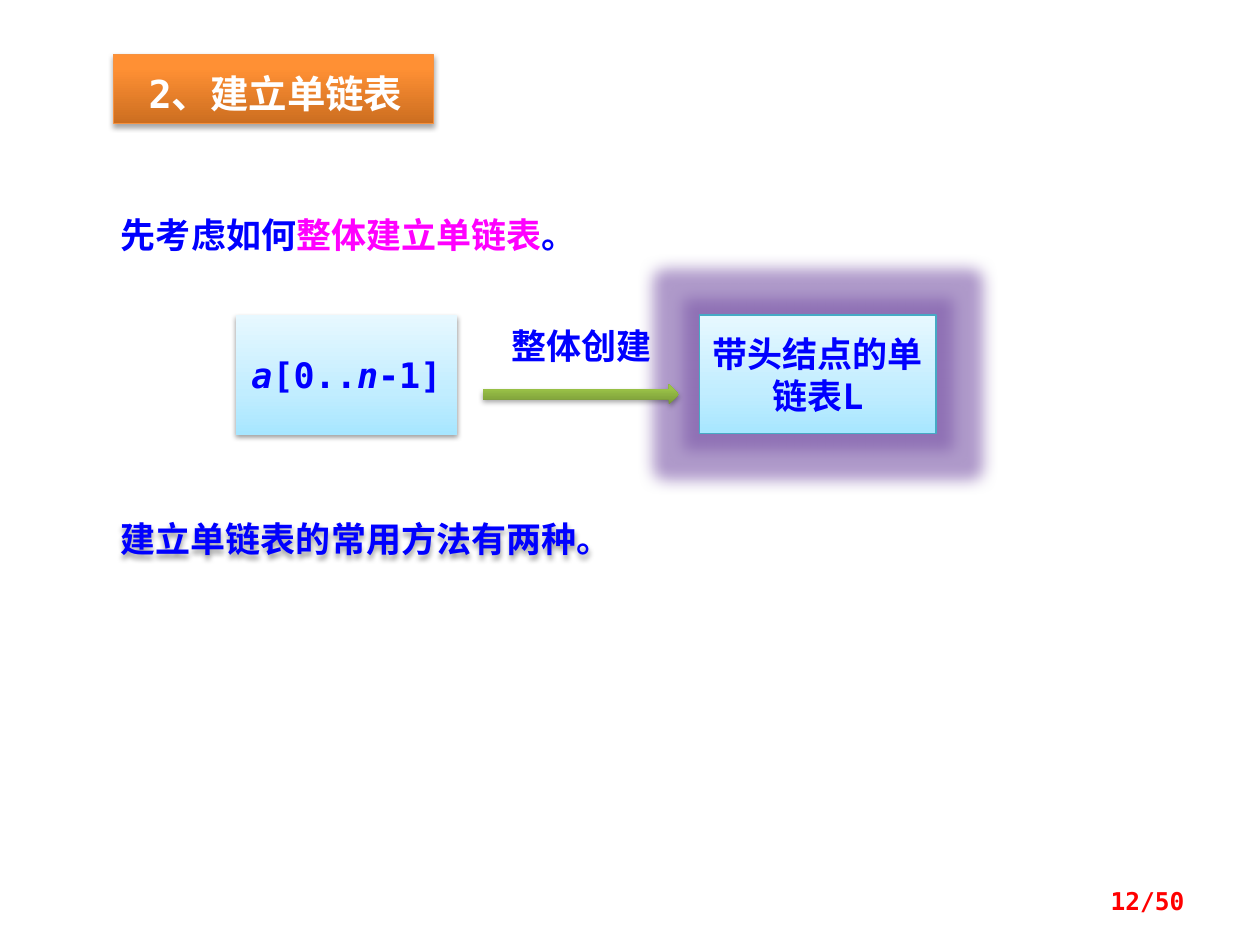
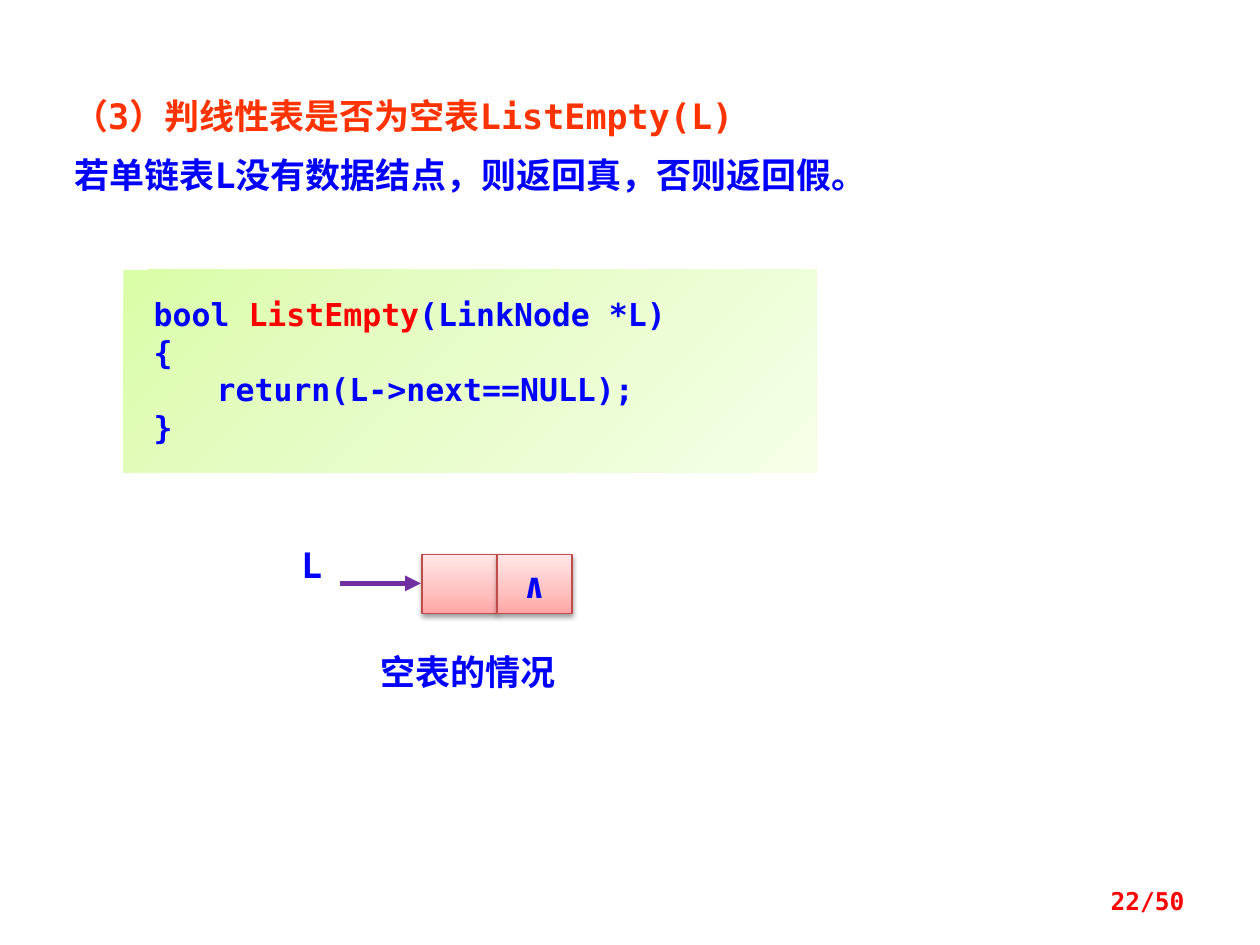
from dataclasses import dataclass

import pptx
import pptx.dml.color
import pptx.enum.shapes
import pptx.enum.text
import pptx.oxml
import pptx.oxml.ns
import pptx.util
from lxml import etree

ALIGN = pptx.enum.text.PP_ALIGN
ANCHOR = pptx.enum.text.MSO_ANCHOR
SHAPE = pptx.enum.shapes.MSO_SHAPE
qn = pptx.oxml.ns.qn


@dataclass(frozen=True)
class Theme:
    mono: str = "DejaVu Sans Mono"
    chinese: str = "Noto Sans CJK SC"
    heading: int = 22
    text: int = 20
    code: int = 18
    footer: int = 14
    blue: str = "0000FF"
    magenta: str = "FF00FF"
    red: str = "FF0000"
    vermilion: str = "FF3300"
    white: str = "FFFFFF"
    purple: str = "7030A0"
    glow: str = "7B57A8"
    sky_line: str = "46AAC5"
    rose_line: str = "BF4C48"
    orange_line: str = "F69240"
    orange: tuple = ((0, "CC6E20"), (80, "FF9034"), (100, "FF9136"))
    sky: tuple = ((0, "A7E6FF"), (35, "C1EDFF"), (100, "E7F8FF"))
    green: tuple = ((0, "779737"), (80, "9BC348"), (100, "9DC746"))
    lime: tuple = ((0, "DAFDA7"), (35, "E4FCC2"), (100, "F5FFE7"))
    rose: tuple = ((0, "FFA6A5"), (35, "FFC0BF"), (100, "FFE7E7"))


THEME = Theme()
COLUMNS, ROWS = 100, 75
CELL = pptx.util.Inches(0.1)


@dataclass(frozen=True)
class Box:
    column: float
    row: float
    columns: float
    rows: float

    def area(self, column, row, columns, rows):
        return Box(self.column + column, self.row + row, columns, rows)

    def lengths(self):
        return [round(n * CELL) for n in (self.column, self.row, self.columns, self.rows)]


PAGE = Box(0, 0, COLUMNS, ROWS)


def rgb(value):
    return pptx.dml.color.RGBColor.from_string(value)


def add_effect(shape, name, color, alpha, **attributes):
    shape.shadow.inherit = False
    effects = shape._element.spPr.find(qn("a:effectLst"))
    effect = etree.SubElement(effects, qn(f"a:{name}"))
    for key, value in attributes.items():
        effect.set(key, str(value))
    tone = etree.SubElement(effect, qn("a:srgbClr"), val=color)
    etree.SubElement(tone, qn("a:alpha"), val=str(alpha * 1000))


def add_shadow(shape, alpha=38):
    add_effect(shape, "outerShdw", "000000", alpha, blurRad=pptx.util.Pt(3.1),
               dist=pptx.util.Pt(1.7), dir=5400000, algn="ctr", rotWithShape=0)


def paint(shape, stops, line=None, angle=90):
    shape.shadow.inherit = False
    shape.fill.gradient()
    shape.fill.gradient_angle = angle
    stop_list = shape._element.spPr.find(".//" + qn("a:gsLst"))
    for stop in list(stop_list):
        stop_list.remove(stop)
    for position, color in stops:
        stop = etree.SubElement(stop_list, qn("a:gs"), pos=str(position * 1000))
        etree.SubElement(stop, qn("a:srgbClr"), val=color)
    if line:
        shape.line.color.rgb = rgb(line)
        shape.line.width = pptx.util.Pt(0.75)
    else:
        shape.line.fill.background()


def write(shape, paragraphs, size=THEME.text, color=THEME.blue, align=ALIGN.LEFT,
          anchor=ANCHOR.TOP, spacing=1.0, font=THEME.mono, insets=(1, 0.5, 1, 0.5)):
    frame = shape.text_frame
    frame.word_wrap = True
    frame.auto_size = pptx.enum.text.MSO_AUTO_SIZE.NONE
    frame.vertical_anchor = anchor
    (frame.margin_left, frame.margin_top, frame.margin_right,
     frame.margin_bottom) = [round(n * CELL) for n in insets]
    for index, spans in enumerate(paragraphs):
        para = frame.add_paragraph() if index else frame.paragraphs[0]
        properties = para._p.get_or_add_pPr()
        properties.set("marL", "0")
        properties.set("indent", "0")
        para.alignment = align
        para.line_spacing = spacing
        para.space_before = pptx.util.Pt(0)
        etree.SubElement(properties, qn("a:buNone"))
        para.font.name = font
        para.font.size = pptx.util.Pt(size)
        para.font.bold = True
        para.font.color.rgb = rgb(color)
        latin = properties.find(".//" + qn("a:latin"))
        latin.addnext(pptx.oxml.parse_xml(
            f'<a:ea {pptx.oxml.ns.nsdecls("a")} typeface="{THEME.chinese}"/>'))
        for text, style in spans:
            span = para.add_run()
            span.text = text
            if style == "italic":
                span.font.italic = True
            elif style:
                span.font.color.rgb = rgb(style)


def add_text(page, box, text, **options):
    shape = page.shapes.add_textbox(*box.lengths())
    write(shape, [[(text, None)]], **options)
    return shape


def add_block(page, box, stops, line=None, kind=SHAPE.RECTANGLE, angle=90):
    shape = page.shapes.add_shape(kind, *box.lengths())
    paint(shape, stops, line, angle)
    return shape


def fill_placeholder(page, index, box, spans, **options):
    shape = page.placeholders[index]
    shape.left, shape.top, shape.width, shape.height = box.lengths()
    write(shape, [spans], **options)
    return shape


def add_page(deck, number):
    page = deck.slides.add_slide(deck.slide_layouts[1])
    add_text(page, PAGE.area(71.7, 69.5, 23.3, 4), f"{number}/50", size=THEME.footer,
             color=THEME.red, align=ALIGN.RIGHT, anchor=ANCHOR.MIDDLE)
    return page


def draw_creation(page, box):
    array = add_block(page, box.area(0.7, 0, 17.6, 9.5), THEME.sky)
    add_shadow(array)
    write(array, [[("a", "italic"), ("[0..", None), ("n", "italic"), ("-1]", None)]],
          align=ALIGN.CENTER, anchor=ANCHOR.MIDDLE)
    linked_list = add_block(page, box.area(37.5, 0, 18.8, 9.4), THEME.sky, THEME.sky_line)
    add_effect(linked_list, "glow", THEME.glow, 60, rad=pptx.util.Pt(18))
    write(linked_list, [[("带头结点的单链表L", None)]],
          align=ALIGN.CENTER, anchor=ANCHOR.MIDDLE)
    arrow = add_block(page, box.area(20.3, 5.5, 15.6, 1.6), THEME.green,
                      kind=SHAPE.RIGHT_ARROW)
    add_shadow(arrow, 35)
    add_text(page, box.area(21.1, 0.3, 14.1, 4.4), "整体创建",
             font=THEME.chinese, align=ALIGN.CENTER, insets=(0, 0.5, 0, 0.5))


def draw_code(page, box):
    code = add_block(page, box, THEME.lime, angle=315)
    lines = [
        [("bool ", None), ("ListEmpty", THEME.red), ("(LinkNode *L)", None)],
        [("{", None)],
        [("　　return(L->next==NULL);", None)],
        [("}", None)],
    ]
    write(code, lines, size=THEME.code, insets=(2.4, 2, 1.6, 2))


def draw_empty_list(page, box):
    side = 5.95
    for index, symbol in enumerate(("", "∧")):
        cell = add_block(page, box.area(9.6 + index * side, 0.9, side, 4.7),
                         THEME.rose, THEME.rose_line)
        add_shadow(cell)
        if symbol:
            write(cell, [[(symbol, None)]], align=ALIGN.CENTER, anchor=ANCHOR.MIDDLE)
    left, top, width, _ = box.area(3.1, 3.2, 6.4, 0).lengths()
    pointer = page.shapes.add_connector(
        pptx.enum.shapes.MSO_CONNECTOR.STRAIGHT, left, top, left + width, top)
    pointer.line.color.rgb = rgb(THEME.purple)
    pointer.line.width = pptx.util.Pt(3)
    properties = pointer._element.spPr
    etree.SubElement(properties.find(qn("a:ln")), qn("a:tailEnd"), type="triangle")
    etree.SubElement(properties, qn("a:effectLst"))
    add_text(page, box.area(0, 0, 4.7, 3.4), "L", insets=(0, 0, 0, 0))
    add_text(page, box.area(1.9, 8, 22.7, 4.4), "空表的情况",
             font=THEME.chinese, align=ALIGN.CENTER)


def build_creation_page(deck):
    page = add_page(deck, 12)
    title = fill_placeholder(page, 0, PAGE.area(9, 4.3, 25.4, 5.5), [("2、建立单链表", None)],
                             size=THEME.heading, color=THEME.white, spacing=1.2,
                             insets=(2.8, 0.5, 1, 0.5))
    paint(title, THEME.orange, THEME.orange_line)
    add_shadow(title, 35)
    fill_placeholder(page, 1, PAGE.area(8.6, 14.8, 47.2, 5.5),
                     [("先考虑如何", None), ("整体建立单链表", THEME.magenta), ("。", None)],
                     spacing=1.5)
    draw_creation(page, PAGE.area(18, 25, 56.3, 9.4))
    methods = add_text(page, PAGE.area(8.6, 40.6, 50, 4.4), "建立单链表的常用方法有两种。")
    add_shadow(methods)


def build_empty_page(deck):
    page = add_page(deck, 22)
    fill_placeholder(page, 0, PAGE.area(4.8, 7, 87, 4.4),
                     [("（3）判线性表是否为空表ListEmpty(L)", None)], color=THEME.vermilion)
    fill_placeholder(page, 1, PAGE.area(4.9, 11.7, 87, 4.4),
                     [("若单链表L没有数据结点，则返回真，否则返回假。", None)])
    draw_code(page, PAGE.area(9.8, 21.4, 55, 16.1))
    draw_empty_list(page, PAGE.area(23.9, 43.1, 24.6, 12.4))


def main():
    deck = pptx.Presentation()
    deck.slide_width, deck.slide_height = COLUMNS * CELL, ROWS * CELL
    build_creation_page(deck)
    build_empty_page(deck)
    deck.save("out.pptx")


if __name__ == "__main__":
    main()
